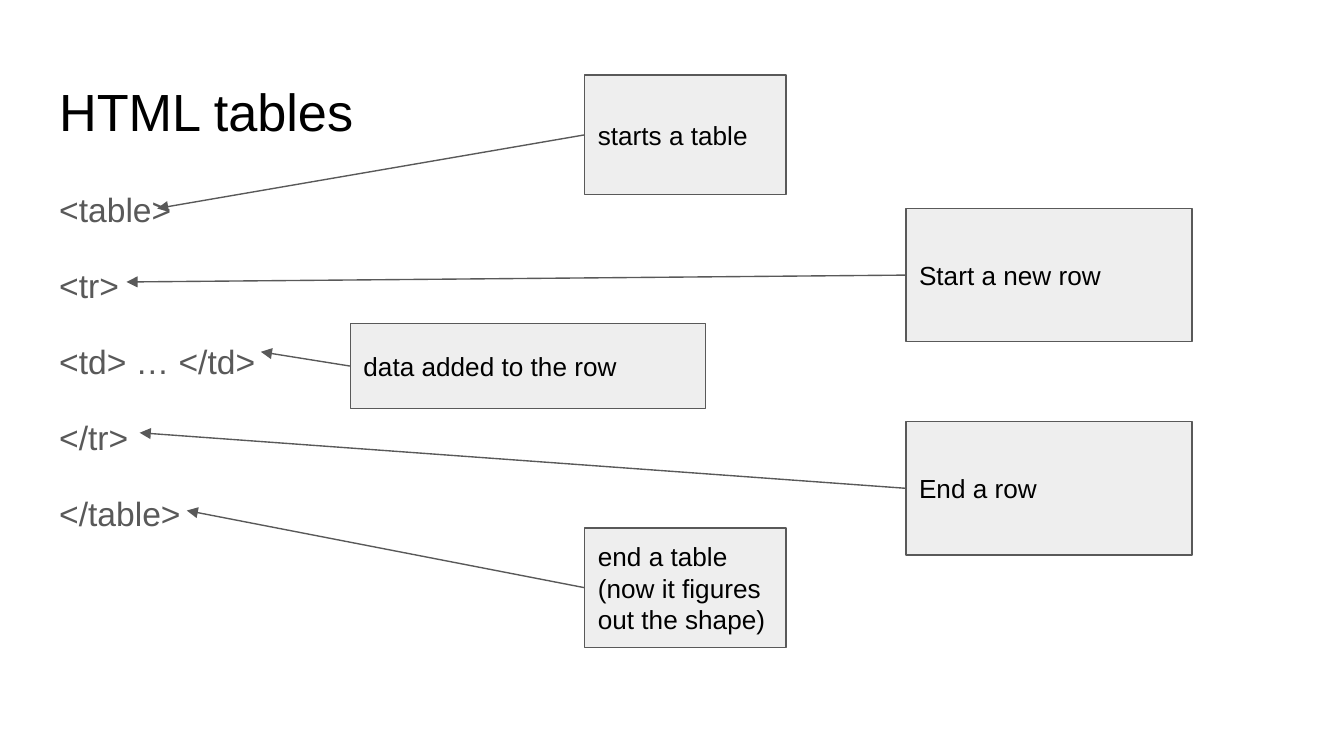
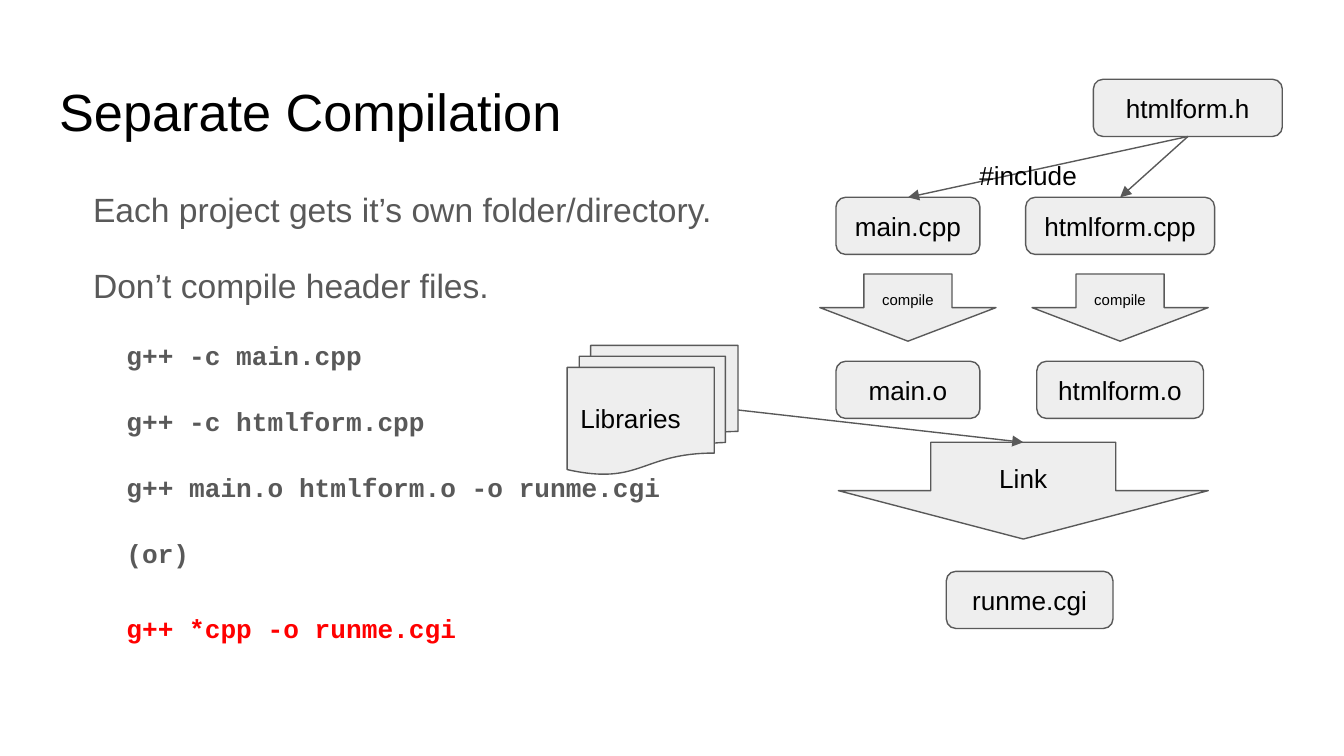
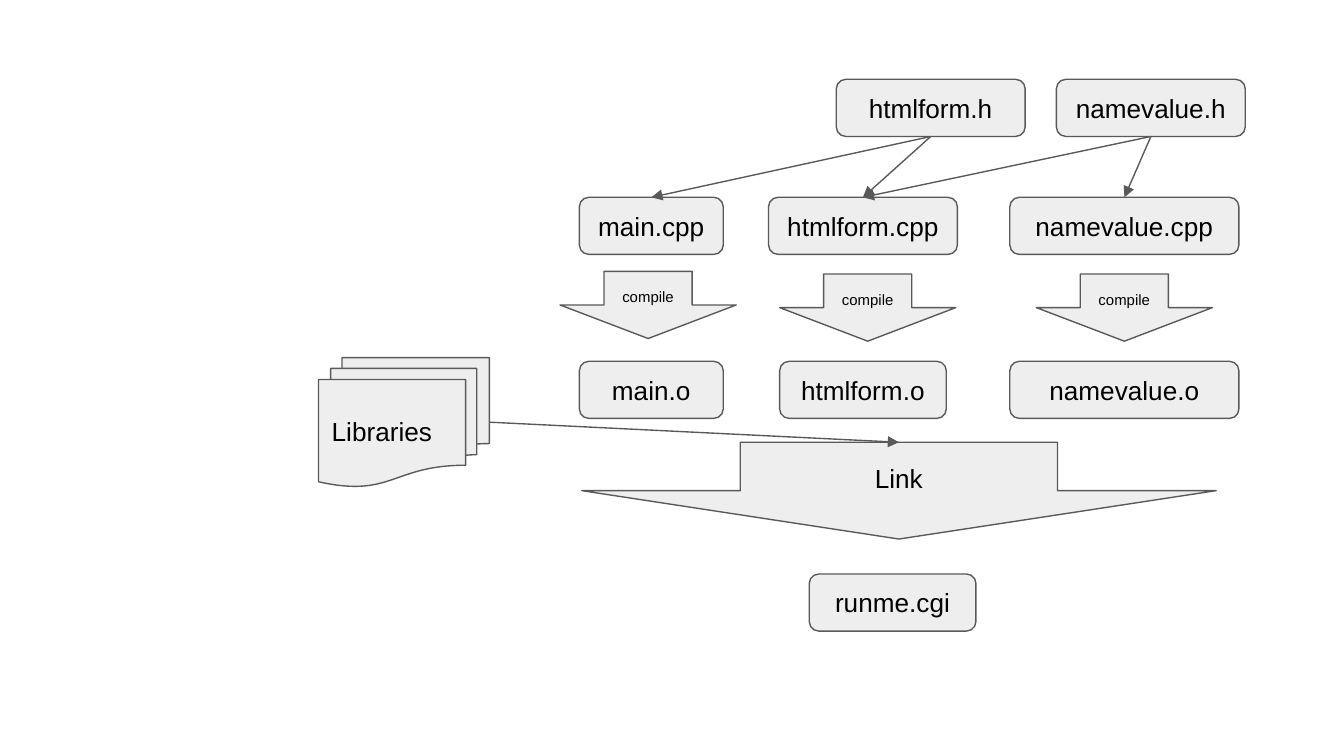
from dataclasses import dataclass
from typing import NamedTuple

from lxml import etree
from pptx import Presentation
from pptx.dml.color import RGBColor
from pptx.enum import shapes, text
from pptx.oxml import ns
from pptx.util import Cm, Pt

# Shared look
BLACK = RGBColor(0x00, 0x00, 0x00)
GREY = RGBColor(0x59, 0x59, 0x59)
PALE = RGBColor(0xEE, 0xEE, 0xEE)
RED = RGBColor(0xFF, 0x00, 0x00)
SANS, MONO = "Arial", "Courier New"
LINE_WIDTH = Pt(0.75)
INSET = Cm(0.25)
LEFT = 0.87
LEFT_ALIGN, CENTER = text.PP_ALIGN.LEFT, text.PP_ALIGN.CENTER
KIND = shapes.MSO_SHAPE

# Connection sites, as numbered on every shape used here
TOP, LEFT_SIDE, BOTTOM, RIGHT_SIDE = range(4)

# Rows of the build diagrams, in cm
HEADER_TOP, SOURCE_TOP, COMPILE_TOP, OBJECT_TOP, LINK_TOP = 1.5, 3.73, 5.18, 6.83, 8.36
NODE_HEIGHT = 1.08


class Box(NamedTuple):
    left: float
    top: float
    width: float
    height: float


@dataclass
class Callout:
    label: str
    box: Box
    tip: tuple[float, float]


@dataclass
class Header:
    label: str
    center: float
    includers: list[int]


@dataclass
class Unit:
    """One source file, its compile step and its object file."""
    name: str
    center: float
    source_width: float
    object_width: float
    step_center: float
    step_top: float = COMPILE_TOP


@dataclass
class Build:
    headers: list[Header]
    units: list[Unit]
    libraries: tuple[float, float]
    link_center: float
    link_width: float
    program_center: float
    program_top: float


# Drawing functions
def write(frame, content: str, *, size: float = 14, color=BLACK, font: str = SANS,
          bold: bool = False, align=LEFT_ALIGN, spacing: float = 1.0,
          before: float = 0, after: float = 0, margin: float = 0, indent: float = 0) -> None:
    """Add one formatted paragraph, filling the first one if it is empty."""
    first = frame.paragraphs[0]
    paragraph = frame.add_paragraph() if first.runs else first
    paragraph.alignment, paragraph.line_spacing = align, spacing
    paragraph.space_before, paragraph.space_after = Pt(before), Pt(after)
    properties = paragraph._p.get_or_add_pPr()
    properties.set("marL", str(Cm(margin)))
    properties.set("indent", str(Cm(indent)))
    run = paragraph.add_run()
    run.text = content
    run.font.name, run.font.size, run.font.bold = font, Pt(size), bold
    run.font.color.rgb = color


def prepare(frame, anchor) -> None:
    frame.word_wrap = True
    frame.vertical_anchor = anchor
    frame.margin_left = frame.margin_right = INSET
    frame.margin_top = frame.margin_bottom = INSET


def text_area(slide, box: Box):
    frame = slide.shapes.add_textbox(*map(Cm, box)).text_frame
    prepare(frame, text.MSO_ANCHOR.TOP)
    return frame


def title(slide, content: str, width: float) -> None:
    write(text_area(slide, Box(LEFT, 1.24, width, 1.6)), content, size=28)


def block(slide, kind, box: Box, label: str, *, size: float = 14, align=CENTER):
    shape = slide.shapes.add_shape(kind, *map(Cm, box))
    shape.shadow.inherit = False
    shape.fill.solid()
    shape.fill.fore_color.rgb = PALE
    shape.line.color.rgb = GREY
    shape.line.width = LINE_WIDTH
    prepare(shape.text_frame, text.MSO_ANCHOR.MIDDLE)
    write(shape.text_frame, label, size=size, align=align)
    return shape


def centered(center: float, top: float, width: float, height: float = NODE_HEIGHT) -> Box:
    return Box(center - width / 2, top, width, height)


def node(slide, label: str, box: Box):
    return block(slide, KIND.FLOWCHART_ALTERNATE_PROCESS, box, label)


def arrow(slide, source, site: int, target=None, tip: tuple[float, float] = (0, 0)) -> None:
    """Point from a side of source to the top of target, or to a free tip."""
    end = tuple(map(Cm, tip))
    line = slide.shapes.add_connector(shapes.MSO_CONNECTOR.STRAIGHT, 0, 0, *end)
    line.begin_connect(source, site)
    if target is not None:
        line.end_connect(target, TOP)
    line.line.color.rgb = GREY
    line.line.width = LINE_WIDTH
    etree.SubElement(line.line._get_or_add_ln(), ns.qn("a:tailEnd"), type="triangle")
    etree.SubElement(line._element.spPr, ns.qn("a:effectLst"))


def build_diagram(slide, build: Build) -> None:
    sources = []
    for unit in build.units:
        sources.append(node(slide, f"{unit.name}.cpp",
                            centered(unit.center, SOURCE_TOP, unit.source_width)))
        block(slide, KIND.DOWN_ARROW, centered(unit.step_center, unit.step_top, 3.33, 1.27),
              "compile", size=8)
        node(slide, f"{unit.name}.o", centered(unit.center, OBJECT_TOP, unit.object_width))
    link = block(slide, KIND.DOWN_ARROW,
                 centered(build.link_center, LINK_TOP, build.link_width, 1.83), "Link")
    node(slide, "runme.cgi", centered(build.program_center, build.program_top, 3.15))
    for header in build.headers:
        included = node(slide, header.label, centered(header.center, HEADER_TOP, 3.57))
        for index in header.includers:
            arrow(slide, included, BOTTOM, sources[index])
    libraries = block(slide, KIND.FLOWCHART_MULTIDOCUMENT, Box(*build.libraries, 3.23, 2.44),
                      "Libraries", align=LEFT_ALIGN)
    arrow(slide, libraries, RIGHT_SIDE, link)


deck = Presentation()
deck.slide_width, deck.slide_height = Cm(25.4), Cm(14.29)
blank = deck.slide_layouts[6]
BODY = dict(size=18, color=GREY, spacing=1.15, after=16)

# Slide 1: table tags and what they do
tables = deck.slides.add_slide(blank)
title(tables, "HTML tables", 23.67)
tags = text_area(tables, Box(LEFT, 3.2, 4.47, 9.5))
for tag in ("<table>", "<tr>", "<td> … </td>", "</tr>", "</table>"):
    write(tags, tag, **BODY)

callouts = [
    Callout("starts a table", Box(11.05, 1.42, 3.81, 2.26), (2.97, 3.94)),
    Callout("end a table (now it figures out the shape)",
            Box(11.05, 9.98, 3.81, 2.26), (3.53, 9.65)),
    Callout("Start a new row", Box(17.12, 3.94, 5.41, 2.52), (2.39, 5.33)),
    Callout("End a row", Box(17.12, 7.97, 5.41, 2.52), (2.64, 8.18)),
    Callout("data added to the row", Box(6.62, 6.12, 6.71, 1.6), (4.93, 6.65)),
]
for callout in callouts:
    note = block(tables, KIND.RECTANGLE, callout.box, callout.label, align=LEFT_ALIGN)
    arrow(tables, note, LEFT_SIDE, tip=callout.tip)

# Slide 2: compiling two source files
compilation = deck.slides.add_slide(blank)
title(compilation, "Separate Compilation", 13.59)
advice = text_area(compilation, Box(LEFT, 3.2, 14.73, 9.5))
for sentence in ("Each project gets it’s own folder/directory.", "Don’t compile header files."):
    write(advice, sentence, margin=1.27, indent=-0.63, **BODY)
CODE = BODY | dict(size=14, font=MONO, bold=True, margin=1.27)
for command in ("g++ -c main.cpp", "g++ -c htmlform.cpp",
                "g++ main.o htmlform.o -o runme.cgi", "(or)"):
    write(advice, command, **CODE)
write(advice, "g++ *cpp -o runme.cgi", **CODE | dict(color=RED, before=5))

build_diagram(compilation, Build(
    headers=[Header("htmlform.h", 22.45, [1, 0])],
    units=[Unit("main", 17.16, 2.72, 2.72, 17.16),
           Unit("htmlform", 21.17, 3.57, 3.15, 21.17)],
    libraries=(10.72, 6.53), link_center=19.34, link_width=6.99,
    program_center=19.46, program_top=10.8))
write(text_area(compilation, Box(18.26, 2.77, 3.56, 0.76)), "#include")

# Slide 3: compiling three source files
larger_project = deck.slides.add_slide(blank)
build_diagram(larger_project, Build(
    headers=[Header("htmlform.h", 17.59, [1, 0]), Header("namevalue.h", 21.75, [1, 2])],
    units=[Unit("main", 12.31, 2.72, 2.72, 12.25, 5.13),
           Unit("htmlform", 16.31, 3.57, 3.15, 16.4),
           Unit("namevalue", 21.25, 4.33, 4.33, 21.25)],
    libraries=(6.02, 6.76), link_center=16.99, link_width=11.99,
    program_center=16.87, program_top=10.85))

deck.save("out.pptx")
